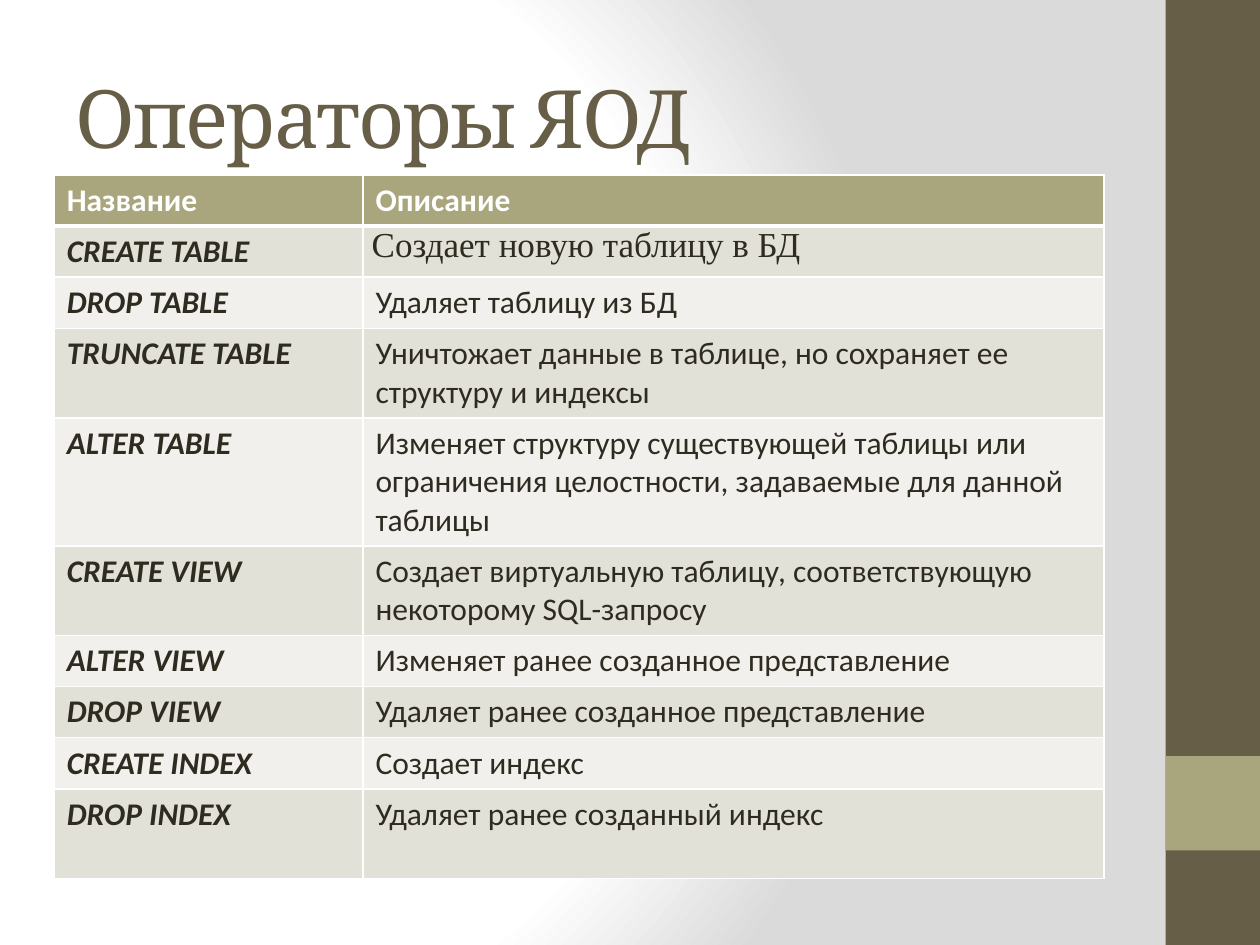
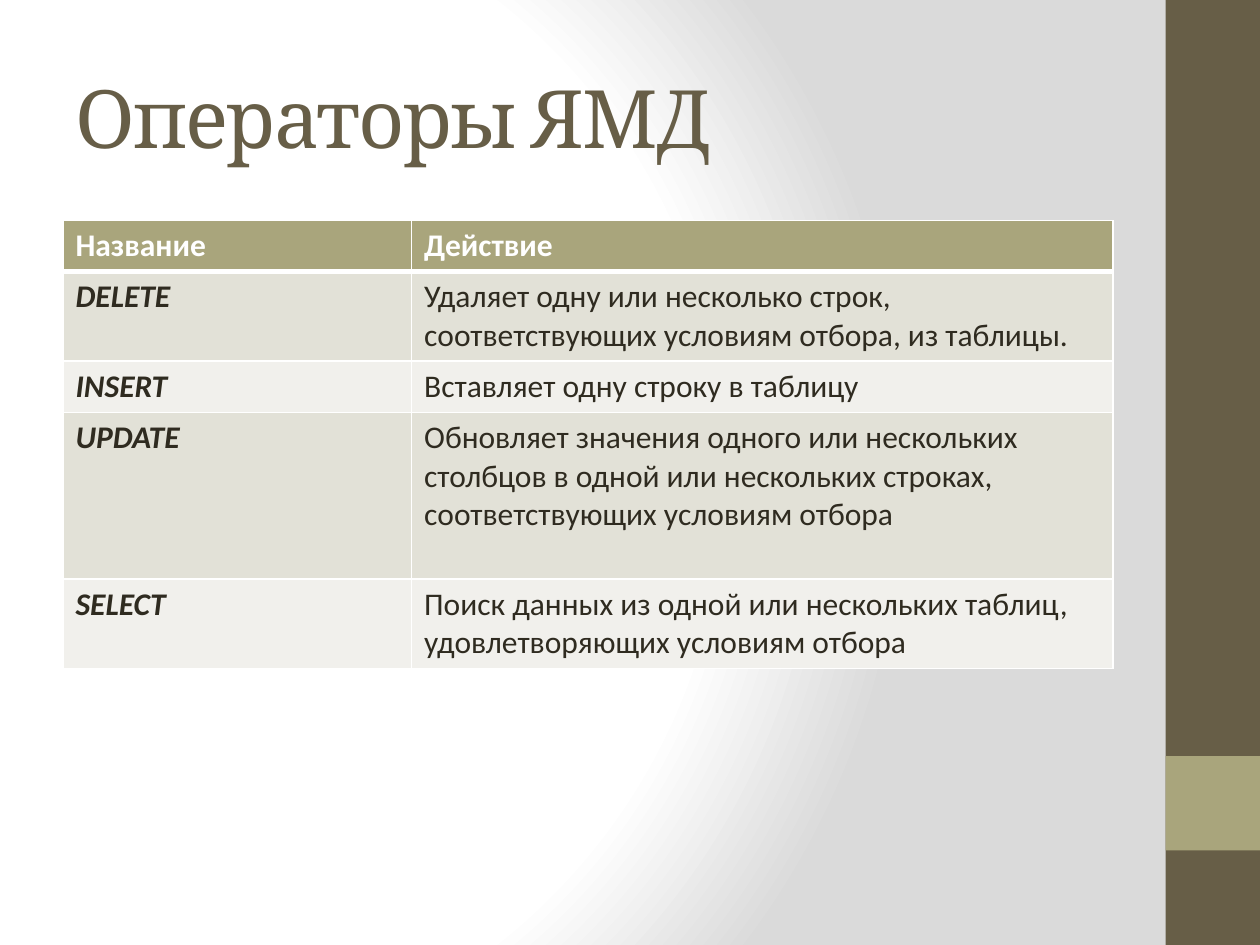
from pptx import Presentation
from pptx.dml.color import RGBColor
from pptx.enum.shapes import MSO_SHAPE
from pptx.enum.text import MSO_ANCHOR
from pptx.oxml import parse_xml
from pptx.oxml.ns import nsdecls, qn
from pptx.util import Pt

BROWN, OLIVE, INK, WHITE, GREY = "675E47", "A9A57C", "2F2B20", "FFFFFF", "DADADA"
STRIPES = ["E2E1D7", "F1F0EC"]
HEAD_FONT, BODY_FONT, ALT_FONT = "Cambria", "Calibri", "Times New Roman"
LINE_H, ROW_PAD = 22, 7.2
BANDS = [(0, 540, BROWN), (432, 54, OLIVE)]
STOPS = [(0, WHITE), (75, WHITE), (100, GREY)]

SLIDES = [
    {
        "title": "Операторы ЯОД",
        "at": (31, 100),
        "cols": (176.4, 423.4),
        "alt_row": 1,
        "rows": [
            ("Название", "Описание", 1),
            ("CREATE TABLE", "Создает новую таблицу в БД", 1),
            ("DROP TABLE", "Удаляет таблицу из БД", 1),
            ("TRUNCATE TABLE", "Уничтожает данные в таблице, но сохраняет ее структуру и индексы", 2),
            ("ALTER TABLE", "Изменяет структуру существующей таблицы или ограничения "
             "целостности, задаваемые для данной таблицы", 3),
            ("CREATE VIEW", "Создает виртуальную таблицу, соответствующую некоторому SQL-запросу", 2),
            ("ALTER VIEW", "Изменяет ранее созданное представление", 1),
            ("DROP VIEW", "Удаляет ранее созданное представление", 1),
            ("CREATE INDEX", "Создает индекс", 1),
            ("DROP INDEX", "Удаляет ранее созданный индекс", 2),
        ],
    },
    {
        "title": "Операторы ЯМД",
        "at": (36, 126),
        "cols": (199.2, 400.8),
        "alt_row": None,
        "rows": [
            ("Название", "Действие", 1),
            ("DELETE", "Удаляет одну или несколько строк, соответствующих условиям отбора, из таблицы.", 2),
            ("INSERT", "Вставляет одну строку в таблицу", 1),
            ("UPDATE", "Обновляет значения одного или нескольких столбцов в одной или "
             "нескольких строках, соответствующих условиям отбора", 4),
            ("SELECT", "Поиск данных из одной или нескольких таблиц, удовлетворяющих условиям отбора", 2),
        ],
    },
]


def color(value):
    return RGBColor.from_string(value)


def set_font(p, name, size, fill, bold=False, italic=False):
    f = p.font
    f.name, f.size, f.bold, f.italic = name, Pt(size), bold, italic
    f.color.rgb = color(fill)


def add_background(s):
    s.background.fill.solid()
    bg = s.element.find(".//" + qn("p:bgPr"))
    stops = "".join(f'<a:gs pos="{pos * 1000}"><a:srgbClr val="{c}"/></a:gs>' for pos, c in STOPS)
    grad = parse_xml(
        f'<a:gradFill {nsdecls("a")} rotWithShape="1"><a:gsLst>{stops}</a:gsLst>'
        '<a:path path="circle"><a:fillToRect l="20000" t="50000" r="100000" b="50000"/>'
        '</a:path></a:gradFill>')
    bg.replace(bg.find(qn("a:solidFill")), grad)


def add_bands(s):
    for top, height, fill in BANDS:
        sp = s.shapes.add_shape(MSO_SHAPE.RECTANGLE, Pt(666), Pt(top), Pt(54), Pt(height))
        sp.shadow.inherit = False
        sp.fill.solid()
        sp.fill.fore_color.rgb = color(fill)
        sp.line.fill.background()


def add_title(s, text):
    tf = s.shapes.add_textbox(Pt(36), Pt(21.6), Pt(600), Pt(90)).text_frame
    tf.word_wrap = True
    tf.vertical_anchor = MSO_ANCHOR.MIDDLE
    p = tf.paragraphs[0]
    r = p.add_run()
    r.text = text
    set_font(p, HEAD_FONT, 46, BROWN)
    r.font._element.set("spc", "-100")


def add_borders(cell, row):
    widths = {"L": 1, "R": 1, "T": 3 if row == 1 else 1, "B": 3 if row == 0 else 1}
    tc_pr = cell._tc.get_or_add_tcPr()
    for side, width in widths.items():
        tc_pr.append(parse_xml(
            f'<a:ln{side} {nsdecls("a")} w="{Pt(width)}"><a:solidFill>'
            f'<a:srgbClr val="{WHITE}"/></a:solidFill></a:ln{side}>'))


def add_grid(s, rows, at, cols, alt_row):
    heights = [ROW_PAD + LINE_H * lines for *_, lines in rows]
    table = s.shapes.add_table(len(rows), len(cols), Pt(at[0]), Pt(at[1]),
                               Pt(sum(cols)), Pt(sum(heights))).table
    for col, width in zip(table.columns, cols):
        col.width = Pt(width)
    for i, (*texts, _) in enumerate(rows):
        table.rows[i].height = Pt(heights[i])
        for j, text in enumerate(texts):
            cell = table.cell(i, j)
            add_borders(cell, i)
            cell.fill.solid()
            cell.fill.fore_color.rgb = color(STRIPES[(i - 1) % 2] if i else OLIVE)
            cell.text = text
            p = cell.text_frame.paragraphs[0]
            if i == 0:
                set_font(p, BODY_FONT, 18, WHITE, bold=True)
            elif j == 0:
                set_font(p, BODY_FONT, 18, INK, bold=True, italic=True)
            elif i == alt_row:
                set_font(p, ALT_FONT, 20, INK)
                cell.margin_left = cell.margin_right = Pt(5)
                cell.margin_top = cell.margin_bottom = 0
            else:
                set_font(p, BODY_FONT, 18, INK)


prs = Presentation()
prs.slide_width, prs.slide_height = Pt(720), Pt(540)
for page in SLIDES:
    s = prs.slides.add_slide(prs.slide_layouts[6])
    add_background(s)
    add_bands(s)
    add_title(s, page["title"])
    add_grid(s, page["rows"], page["at"], page["cols"], page["alt_row"])
prs.save("out.pptx")
